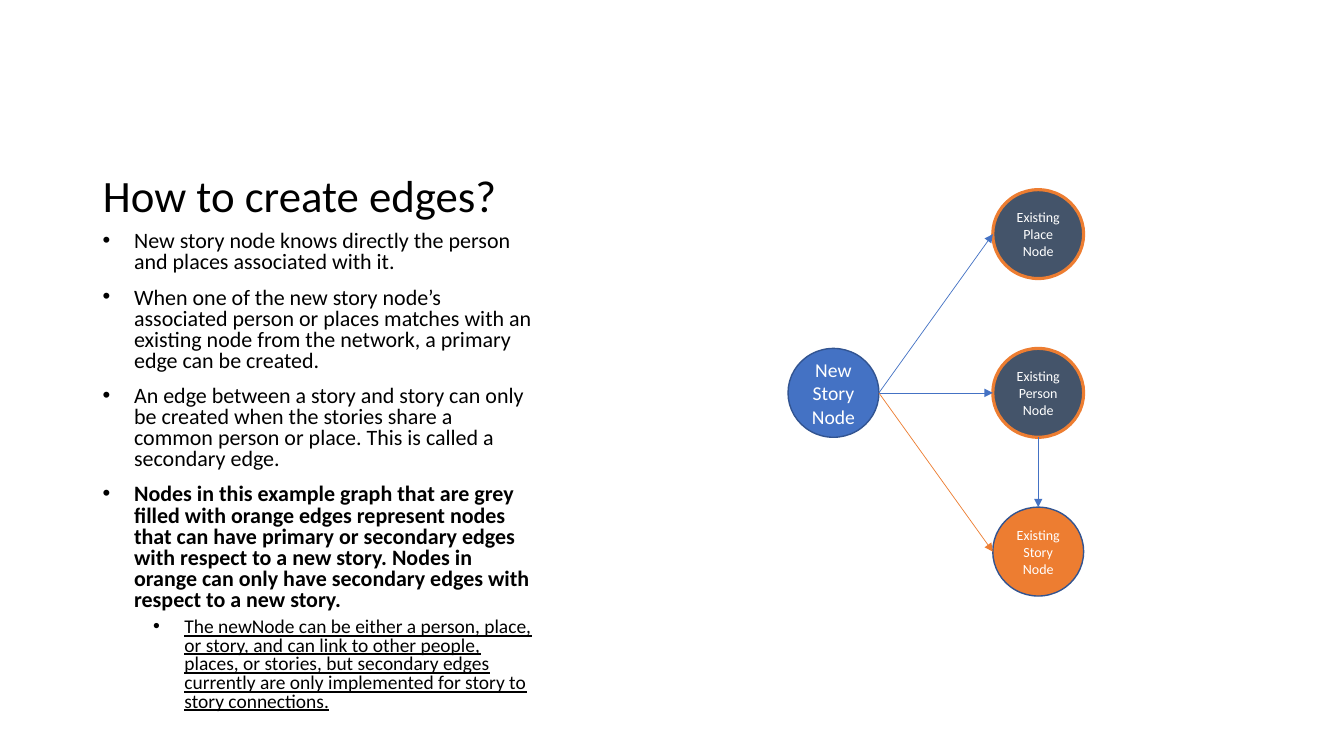
from dataclasses import dataclass

from lxml.etree import SubElement
from pptx import Presentation
from pptx.dml.color import RGBColor
from pptx.enum.shapes import MSO_CONNECTOR as Connector, MSO_SHAPE as Shape
from pptx.enum.text import MSO_ANCHOR as Anchor, MSO_AUTO_SIZE as AutoSize, PP_ALIGN as Align
from pptx.oxml.ns import qn
from pptx.util import Cm, Pt

TITLE = "How to create edges?"

BULLETS = [
    ("New story node knows directly the person and places associated with it.", "plain"),
    ("When one of the new story node’s associated person or places matches with an "
     "existing node from the network, a primary edge can be created.", "plain"),
    ("An edge between a story and story can only be created when the stories share a "
     "common person or place. This is called a secondary edge.", "plain"),
    ("Nodes in this example graph that are grey filled with orange edges represent nodes "
     "that can have primary or secondary edges with respect to a new story. Nodes in "
     "orange can only have secondary edges with respect to a new story.", "bold"),
    ("The newNode can be either a person, place, or story, and can link to other people, "
     "places, or stories, but secondary edges currently are only implemented for story to "
     "story connections.", "sub"),
]

NODES = {
    "new": ("New Story Node", 0, 1, "new"),
    "place": ("Existing Place Node", 1, 0, "linked"),
    "person": ("Existing Person Node", 1, 1, "linked"),
    "story": ("Existing Story Node", 1, 2, "secondary"),
}

EDGES = [
    ("new", "right", "place", "left", "primary"),
    ("new", "right", "person", "left", "primary"),
    ("new", "right", "story", "left", "secondary"),
    ("person", "bottom", "story", "top", "primary"),
]


@dataclass(frozen=True)
class Theme:
    font = "Calibri"
    black = RGBColor.from_string("000000")
    white = RGBColor.from_string("FFFFFF")
    blue = RGBColor.from_string("4472C4")
    navy = RGBColor.from_string("325491")
    slate = RGBColor.from_string("44546A")
    orange = RGBColor.from_string("ED7D31")
    title = 32
    body = 15.7
    sub = 13.9
    new_node = 14
    node = 10
    edge = 0.5


theme = Theme()

NODE_STYLES = {
    "new": (theme.blue, theme.navy, 1, theme.new_node),
    "linked": (theme.slate, theme.orange, 2.25, theme.node),
    "secondary": (theme.orange, theme.navy, 1, theme.node),
}
EDGE_COLOURS = {"primary": theme.blue, "secondary": theme.orange}
SIDES = {"left": (0, 0.5), "right": (1, 0.5), "top": (0.5, 0), "bottom": (0.5, 1)}

GRAPH_LEFT, GRAPH_TOP = 19.86, 4.78
COLUMN_STEP, ROW_STEP = 5.16, 4
NODE_WIDTH, NODE_HEIGHT = 2.29, 2.24
TEXT_LEFT, TEXT_TOP = 2.34, 5.72
BULLET_HANG, LEVEL_STEP = 0.79, 1.27


def set_font(para, size, colour):
    para.font.name = theme.font
    para.font.size = Pt(size)
    para.font.color.rgb = colour


def add_title(page):
    title = page.shapes.title
    title.left, title.top = Cm(TEXT_LEFT), Cm(1.27)
    title.width, title.height = Cm(10.92), Cm(4.45)
    frame = title.text_frame
    frame.text = TITLE
    frame.word_wrap = True
    frame.auto_size = AutoSize.NONE
    frame.vertical_anchor = Anchor.BOTTOM
    para = frame.paragraphs[0]
    para.alignment = Align.LEFT
    para.line_spacing = 0.9
    set_font(para, theme.title, theme.black)


def add_bullets(page):
    box = page.shapes.add_textbox(Cm(TEXT_LEFT), Cm(TEXT_TOP), Cm(11.35), Cm(12.62))
    frame = box.text_frame
    frame.word_wrap = True
    for index, (text, style) in enumerate(BULLETS):
        para = frame.paragraphs[0] if index == 0 else frame.add_paragraph()
        para.text = text
        is_sub = style == "sub"
        para.level = int(is_sub)
        properties = para._p.get_or_add_pPr()
        properties.set("marL", str(Cm(BULLET_HANG + LEVEL_STEP * is_sub)))
        properties.set("indent", str(-Cm(BULLET_HANG)))
        SubElement(properties, qn("a:buFont"), typeface="Arial")
        SubElement(properties, qn("a:buChar"), char="•")
        para.line_spacing = 0.8
        para.space_before = Pt(5 if is_sub else 10)
        set_font(para, theme.sub if is_sub else theme.body, theme.black)
        para.font.bold = style == "bold"
        para.font.underline = is_sub


def node_point(name, across=0, down=0):
    _, column, row, _ = NODES[name]
    return (Cm(GRAPH_LEFT + column * COLUMN_STEP + across * NODE_WIDTH),
            Cm(GRAPH_TOP + row * ROW_STEP + down * NODE_HEIGHT))


def add_node(page, name):
    text, _, _, style = NODES[name]
    fill, outline, weight, size = NODE_STYLES[style]
    node = page.shapes.add_shape(Shape.OVAL, *node_point(name), Cm(NODE_WIDTH), Cm(NODE_HEIGHT))
    node.shadow.inherit = False
    node.fill.solid()
    node.fill.fore_color.rgb = fill
    node.line.color.rgb = outline
    node.line.width = Pt(weight)
    frame = node.text_frame
    frame.text = text
    frame.word_wrap = True
    frame.vertical_anchor = Anchor.MIDDLE
    para = frame.paragraphs[0]
    para.alignment = Align.CENTER
    set_font(para, size, theme.white)


def add_edge(page, source, source_side, target, target_side, kind):
    start = node_point(source, *SIDES[source_side])
    end = node_point(target, *SIDES[target_side])
    edge = page.shapes.add_connector(Connector.STRAIGHT, *start, *end)
    edge.line.color.rgb = EDGE_COLOURS[kind]
    edge.line.width = Pt(theme.edge)
    SubElement(edge.line._get_or_add_ln(), qn("a:tailEnd"), type="triangle")
    SubElement(edge._element.spPr, qn("a:effectLst"))


def main():
    deck = Presentation()
    deck.slide_width, deck.slide_height = Cm(33.87), Cm(19.05)
    page = deck.slides.add_slide(deck.slide_layouts[5])
    add_title(page)
    add_bullets(page)
    for name in NODES:
        add_node(page, name)
    for edge in EDGES:
        add_edge(page, *edge)
    deck.save("out.pptx")


if __name__ == "__main__":
    main()
